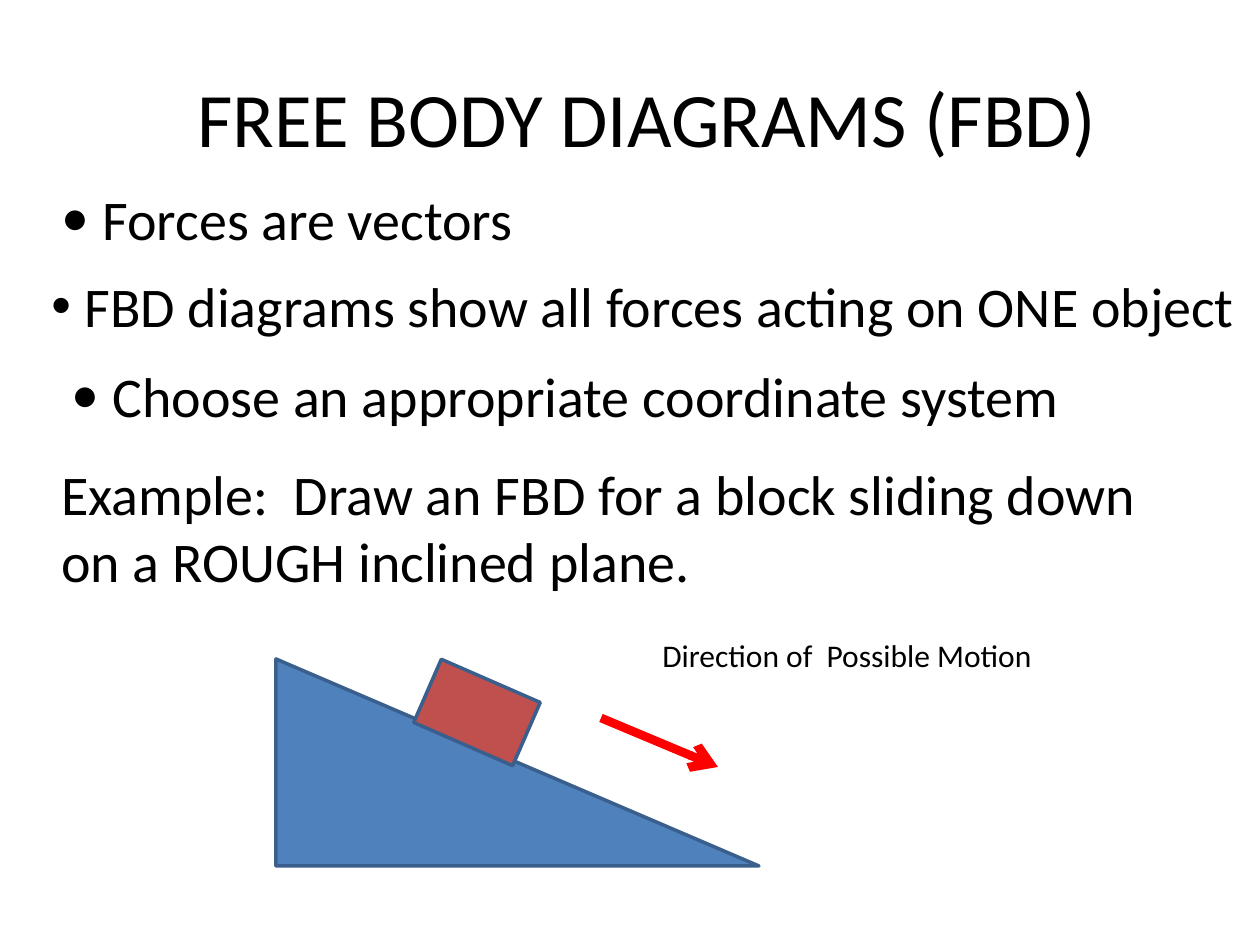
from lxml import etree
from pptx import Presentation
from pptx import util as u
from pptx.dml.color import RGBColor
from pptx.enum import shapes, text
from pptx.oxml.ns import qn

SCALE = 914400 // 126
FONT = "Calibri"


def px(*lengths):
    """Turn pixel lengths into EMU."""
    return [u.Emu(round(length * SCALE)) for length in lengths]


def colour(value):
    """Make a colour from a hex string."""
    return RGBColor.from_string(value)


def add_span(para, words, size):
    """Add one run of black text."""
    span = para.add_run()
    span.text = words
    span.font.size = u.Pt(size)
    span.font.name = FONT
    span.font.color.rgb = colour("000000")


def set_bullet(para, hang, face):
    """Give a paragraph a round bullet with a hanging indent."""
    props = para._p.get_or_add_pPr()
    indent = px(hang)[0]
    props.set("marL", str(indent))
    props.set("indent", str(-indent))
    etree.SubElement(props, qn("a:buFont")).set("typeface", face)
    etree.SubElement(props, qn("a:buChar")).set("char", "•")


def add_text(page, box, words, size):
    """Add a wrapping text box and return its paragraph."""
    frame = page.shapes.add_textbox(*px(*box)).text_frame
    frame.word_wrap = True
    para = frame.paragraphs[0]
    add_span(para, words, size)
    return para


def add_title(page, box, words):
    """Place and format the title placeholder."""
    title = page.shapes.title
    title.left, title.top, title.width, title.height = px(*box)
    frame = title.text_frame
    frame.vertical_anchor = text.MSO_ANCHOR.MIDDLE
    frame.margin_left = px(47)[0]
    para = frame.paragraphs[0]
    para.alignment = text.PP_ALIGN.CENTER
    add_span(para, words, 44)


def add_points(page, left, top):
    """Add the bulleted points and the example below them."""
    points = [
        (10, 0, 867, "Forces are vectors", 41, FONT),
        (0, 87, 1270, "FBD diagrams show all forces acting on ONE object", 33, "Arial"),
        (20, 177, 1123, "Choose an appropriate coordinate system", 41, FONT),
    ]
    for dx, dy, width, words, hang, face in points:
        para = add_text(page, (left + dx, top + dy, width, 74), words, 32)
        set_bullet(para, hang, face)
    example = "Example:  Draw an FBD for a block sliding down on a ROUGH inclined plane."
    add_text(page, (left + 10, top + 275, 1123, 142), example, 32)


def add_solid(page, kind, box, fill, turn=0):
    """Add a filled, outlined shape."""
    solid = page.shapes.add_shape(kind, *px(*box))
    solid.rotation = turn
    solid.shadow.inherit = False
    solid.fill.solid()
    solid.fill.fore_color.rgb = colour(fill)
    solid.line.color.rgb = colour("3A5F8C")
    solid.line.width = u.Pt(2)


def add_arrow(page, start, end):
    """Add the red motion arrow."""
    arrow = page.shapes.add_connector(shapes.MSO_CONNECTOR.STRAIGHT, *px(*start, *end))
    arrow.line.color.rgb = colour("FF0000")
    arrow.line.width = u.Pt(5)
    etree.SubElement(arrow.line._get_or_add_ln(), qn("a:tailEnd")).set("type", "arrow")
    etree.SubElement(arrow._element.spPr, qn("a:effectLst"))


def add_incline(page, left, top):
    """Draw the block on the inclined plane with its direction of motion."""
    kinds = shapes.MSO_SHAPE
    add_solid(page, kinds.RIGHT_TRIANGLE, (left, top, 483, 207), "4F81BD")
    add_solid(page, kinds.RECTANGLE, (left + 147, top + 19, 108, 69), "C0504D", 23.6)
    add_arrow(page, (left + 325, top + 59), (left + 442, top + 108))
    label = (left + 374, top - 29, 403, 50)
    add_text(page, label, "Direction of  Possible Motion", 18)


def build():
    """Build and save the deck."""
    deck = Presentation()
    deck.slide_width, deck.slide_height = px(1260, 945)
    page = deck.slides.add_slide(deck.slide_layouts[5])
    add_title(page, (63, 38, 1134, 158), "FREE BODY DIAGRAMS (FBD)")
    add_points(page, 39, 178)
    add_incline(page, 276, 659)
    deck.save("out.pptx")


build()
